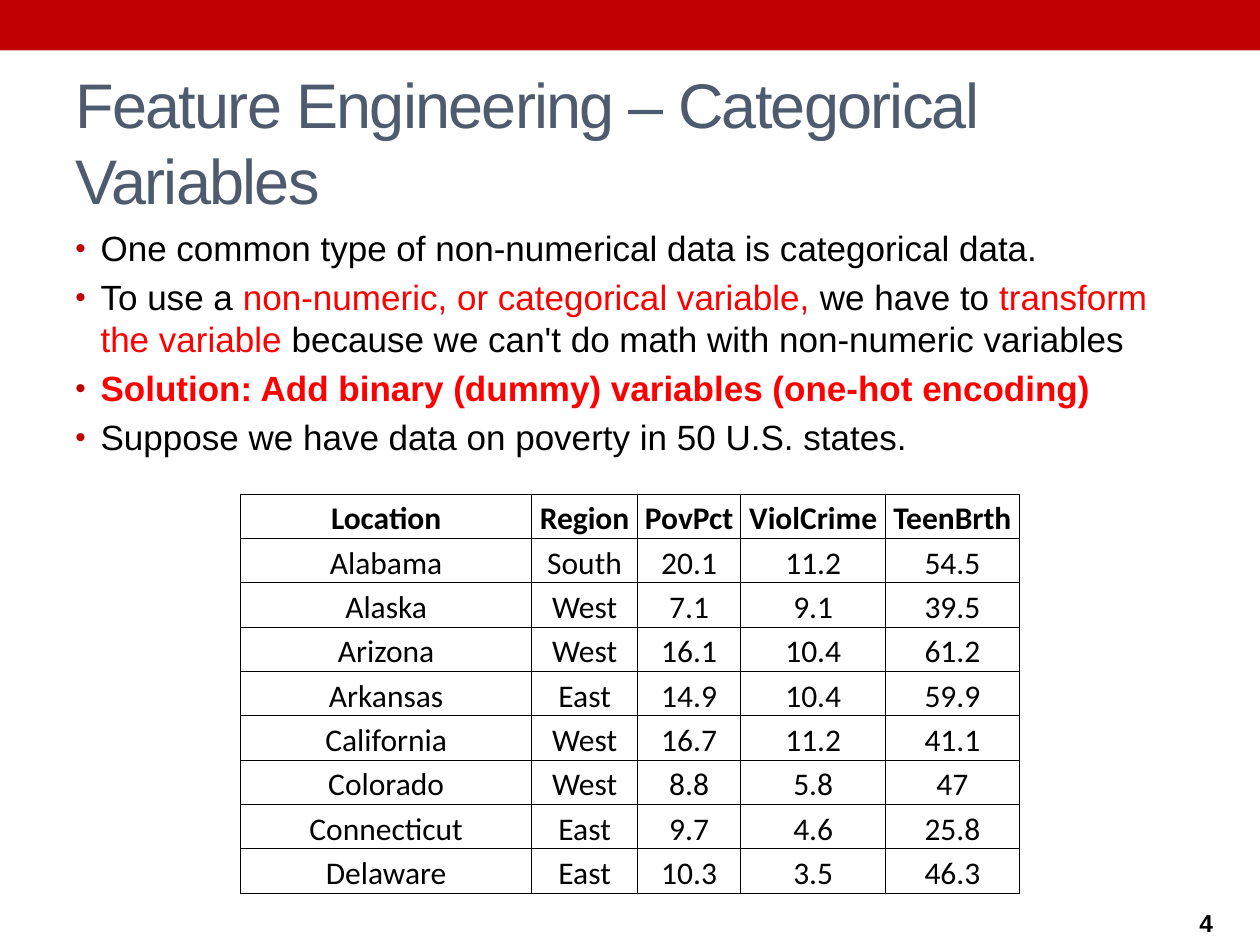
"""Build a slide on encoding categorical variables, with a table of state data."""
from typing import NamedTuple

from lxml.etree import SubElement
from pptx import Presentation
from pptx.dml.color import RGBColor
from pptx.enum.shapes import MSO_SHAPE
from pptx.enum.text import MSO_ANCHOR as Anchor, MSO_AUTO_SIZE as AutoSize, PP_ALIGN as Align
from pptx.oxml.ns import qn
from pptx.util import Inches, Pt

COLORS = {"band": "C00000", "title": "4E5B6F", "text": "000000", "accent": "FF0000"}


class Span(NamedTuple):
    text: str
    color: str = "text"


class Bullet(NamedTuple):
    spans: list[Span]
    bold: bool = False


class State(NamedTuple):
    location: str
    region: str
    poverty: str
    crime: str
    births: str


BULLETS = [
    Bullet([Span("One common type of non-numerical data is categorical data.")]),
    Bullet([
        Span("To use a "),
        Span("non-numeric, or categorical variable, ", "accent"),
        Span("we have to "),
        Span("transform the variable ", "accent"),
        Span("because we can't do math with non-numeric variables"),
    ]),
    Bullet([Span("Solution: Add binary (dummy) variables (one-hot encoding)", "accent")], True),
    Bullet([Span("Suppose we have data on poverty in 50 U.S. states.")]),
]
HEADER = State("Location", "Region", "PovPct", "ViolCrime", "TeenBrth")
STATES = [
    State("Alabama", "South", "20.1", "11.2", "54.5"),
    State("Alaska", "West", "7.1", "9.1", "39.5"),
    State("Arizona", "West", "16.1", "10.4", "61.2"),
    State("Arkansas", "East", "14.9", "10.4", "59.9"),
    State("California", "West", "16.7", "11.2", "41.1"),
    State("Colorado", "West", "8.8", "5.8", "47"),
    State("Connecticut", "East", "9.7", "4.6", "25.8"),
    State("Delaware", "East", "10.3", "3.5", "46.3"),
]
COLUMN_WIDTHS = [2.31, 0.84, 0.82, 1.15, 1.06]


def rgb(name: str) -> RGBColor:
    return RGBColor.from_string(COLORS[name])


def style(font, size: float, color: str = "text", bold: bool = False, name: str = "Arial") -> None:
    font.name, font.size, font.bold = name, Pt(size), bold
    font.color.rgb = rgb(color)


def add_band(page, deck) -> None:
    band = page.shapes.add_shape(MSO_SHAPE.RECTANGLE, 0, 0, deck.slide_width, Inches(0.4))
    band.shadow.inherit = False
    band.fill.solid()
    band.fill.fore_color.rgb = rgb("band")
    band.line.fill.background()


def set_title(page, text: str) -> None:
    title = page.shapes.title
    title.left, title.top, title.width, title.height = map(Inches, (0.5, 0.58, 9, 1.08))
    frame = title.text_frame
    frame.text = text
    frame.auto_size = AutoSize.NONE
    frame.vertical_anchor = Anchor.MIDDLE
    para = frame.paragraphs[0]
    para.alignment = Align.LEFT
    style(para.font, 36, "title")
    para.runs[0].font._element.set("spc", "-100")


def add_bullet_mark(para) -> None:
    properties = para._p.get_or_add_pPr()
    properties.set("marL", str(Inches(0.2)))
    properties.set("indent", str(-Inches(0.2)))
    color = SubElement(properties, qn("a:buClr"))
    SubElement(color, qn("a:srgbClr"), val=COLORS["band"])
    SubElement(properties, qn("a:buSzPct"), val="85000")
    SubElement(properties, qn("a:buFont"), typeface="Arial")
    SubElement(properties, qn("a:buChar"), char="•")


def add_bullets(page, bullets: list[Bullet]) -> None:
    box = page.shapes.add_textbox(*map(Inches, (0.5, 1.75, 9, 5.33)))
    frame = box.text_frame
    frame.word_wrap = True
    for index, bullet in enumerate(bullets):
        para = frame.add_paragraph() if index else frame.paragraphs[0]
        para.space_before = Pt(4)
        add_bullet_mark(para)
        style(para.font, 20, bold=bullet.bold)
        for span in bullet.spans:
            run = para.add_run()
            run.text = span.text
            run.font.color.rgb = rgb(span.color)


def add_page_number(page, number: int) -> None:
    box = page.shapes.add_textbox(*map(Inches, (9.42, 7.14, 1.17, 0.36)))
    frame = box.text_frame
    frame.word_wrap = True
    frame.vertical_anchor = Anchor.MIDDLE
    frame.text = str(number)
    style(frame.paragraphs[0].font, 14, bold=True)


def add_borders(cell) -> None:
    properties = cell._tc.get_or_add_tcPr()
    for side in ("lnL", "lnR", "lnT", "lnB"):
        line = SubElement(properties, qn(f"a:{side}"), w=str(Pt(0.5)))
        fill = SubElement(line, qn("a:solidFill"))
        SubElement(fill, qn("a:srgbClr"), val=COLORS["text"])


def fill_cell(cell, text: str, bold: bool) -> None:
    add_borders(cell)
    cell.fill.background()
    cell.margin_left = cell.margin_right = cell.margin_top = Inches(0.01)
    cell.margin_bottom = 0
    cell.vertical_anchor = Anchor.BOTTOM
    cell.text = text
    para = cell.text_frame.paragraphs[0]
    para.alignment = Align.CENTER
    style(para.font, 18, bold=bold, name="Calibri")


def add_state_table(page, rows: list[State]) -> None:
    frame = page.shapes.add_table(
        len(rows), len(COLUMN_WIDTHS), *map(Inches, (1.91, 3.92, sum(COLUMN_WIDTHS), 3.17))
    )
    table = frame.table
    table.first_row = table.horz_banding = False
    for column, width in zip(table.columns, COLUMN_WIDTHS):
        column.width = Inches(width)
    for row_index, state in enumerate(rows):
        for column_index, text in enumerate(state):
            fill_cell(table.cell(row_index, column_index), text, bold=row_index == 0)


def main() -> None:
    deck = Presentation()
    deck.slide_width, deck.slide_height = Inches(10), Inches(7.5)
    page = deck.slides.add_slide(deck.slide_layouts[5])
    add_band(page, deck)
    set_title(page, "Feature Engineering – Categorical Variables")
    add_bullets(page, BULLETS)
    add_page_number(page, 4)
    add_state_table(page, [HEADER, *STATES])
    deck.save("out.pptx")


if __name__ == "__main__":
    main()
